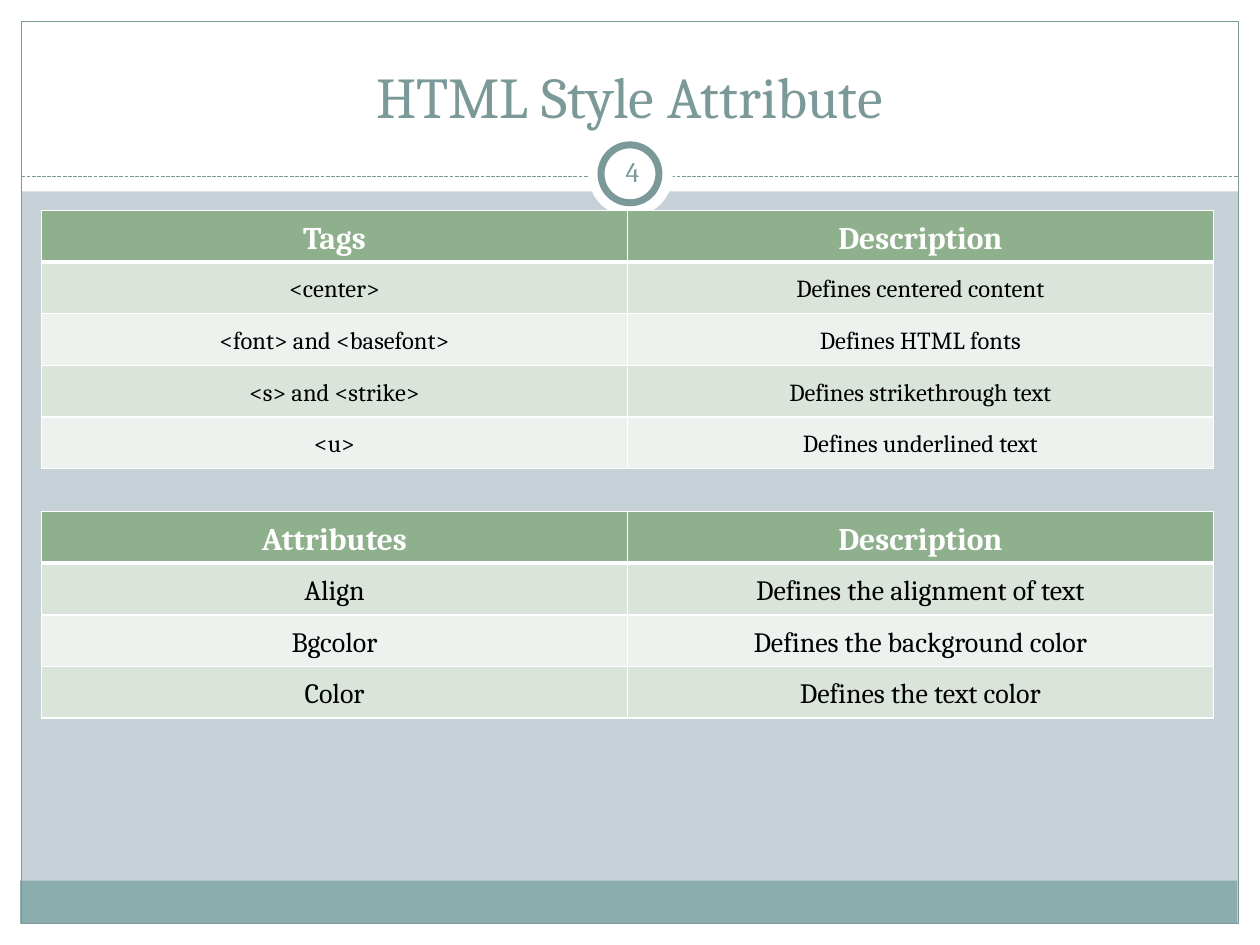
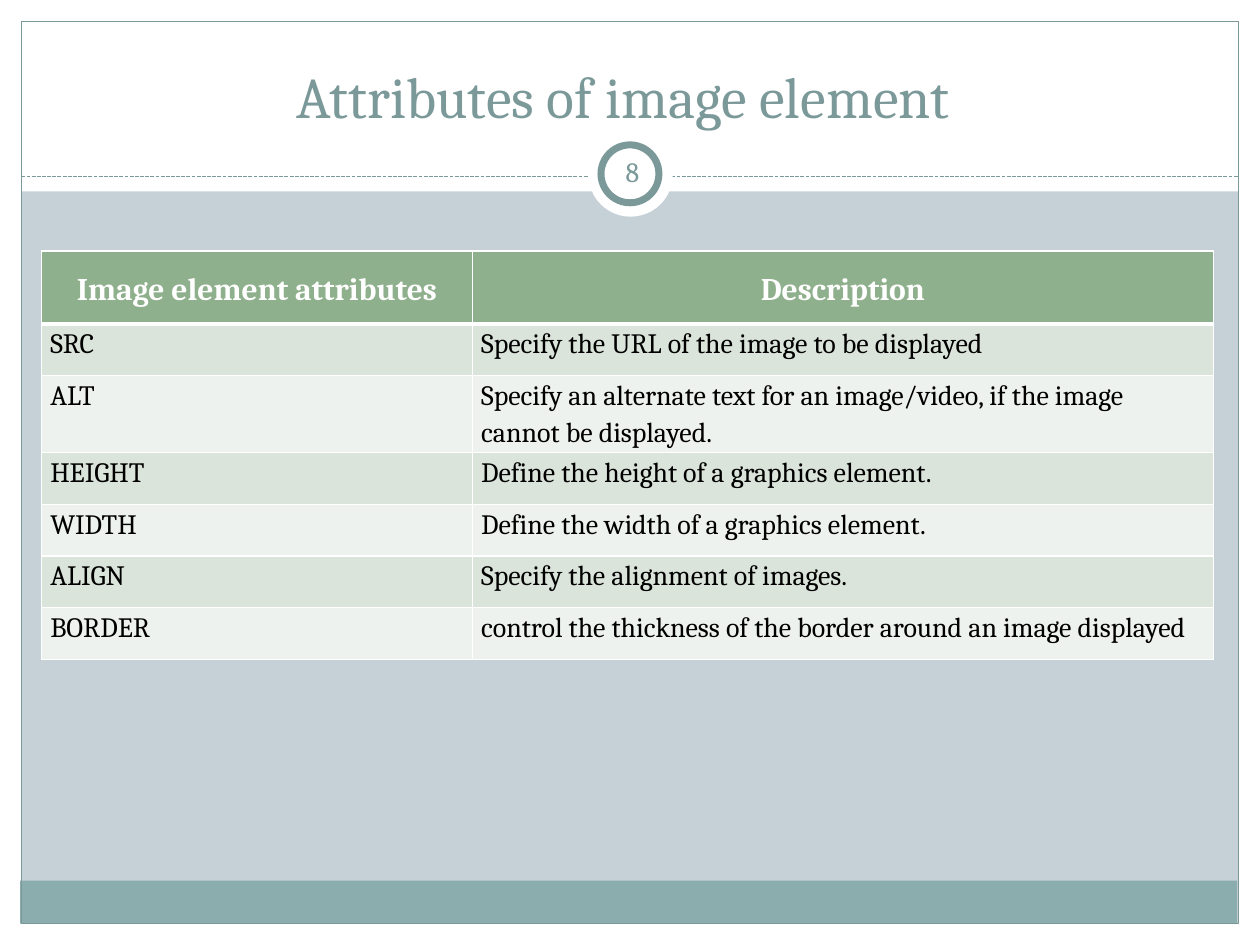
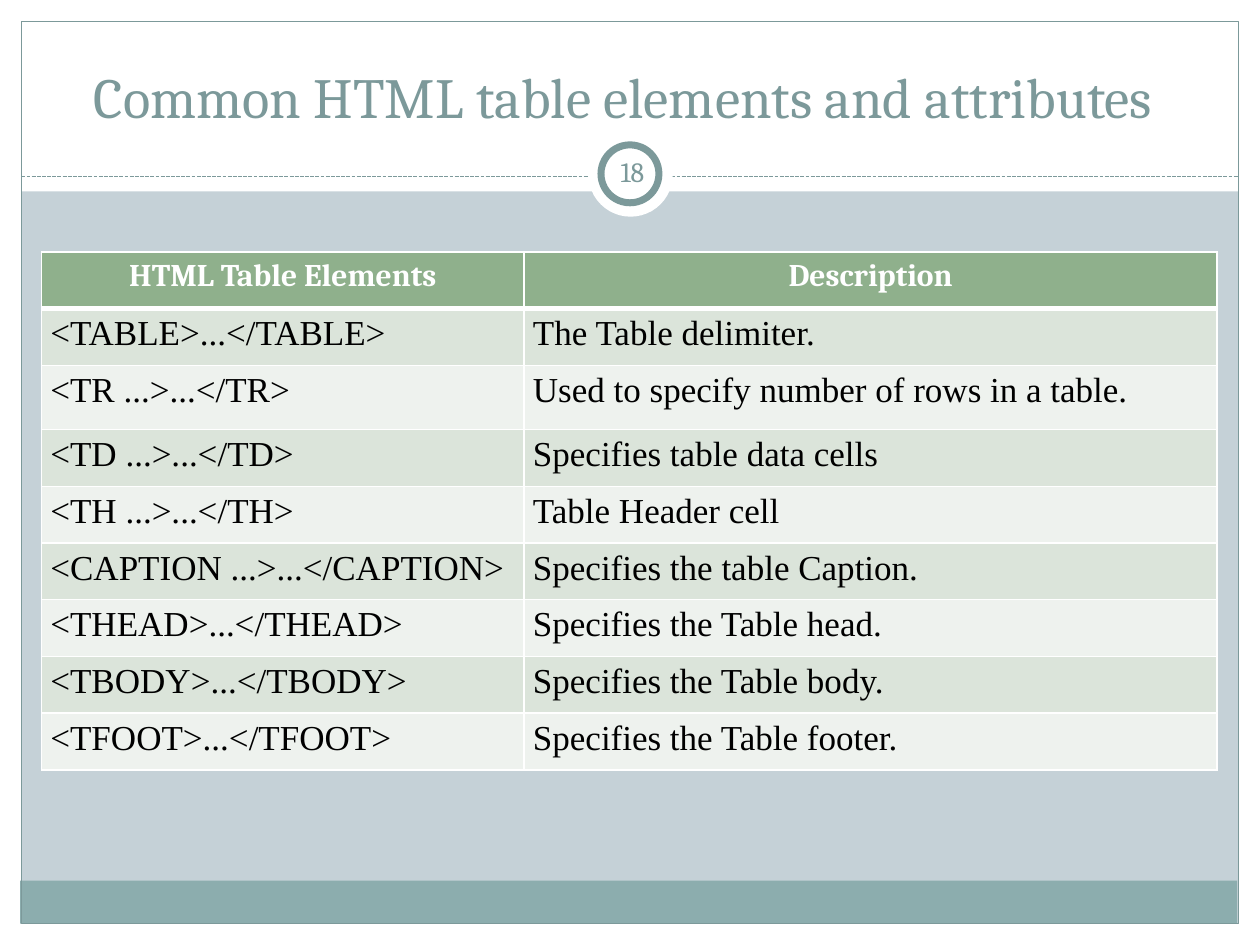
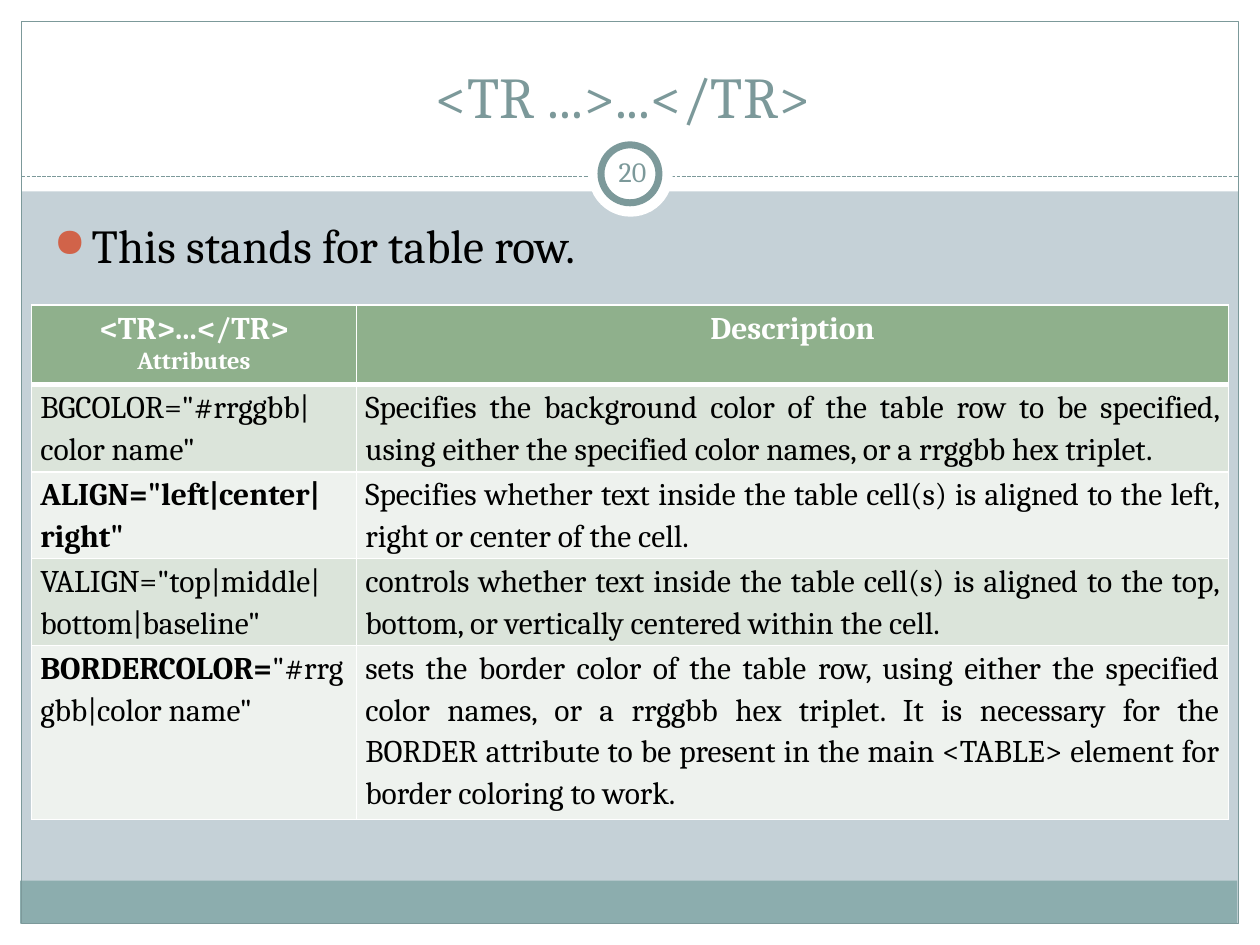
from pptx import Presentation
from pptx.dml.color import RGBColor
from pptx.enum.dml import MSO_LINE_DASH_STYLE as Dash
from pptx.enum.shapes import MSO_CONNECTOR as Connector, MSO_SHAPE as Shape
from pptx.enum.text import MSO_ANCHOR as Anchor, PP_ALIGN as Align
from pptx.oxml.ns import qn
from pptx.util import Inches, Pt
from lxml.etree import SubElement

WHITE, BLACK = "FFFFFF", "000000"
SLATE, TEAL, MIST = "7C999A", "8CADAE", "C5D1D7"
GREEN, STRIPES, ORANGE = "8FB08C", ("DBE4DA", "EEF2EE"), "D16349"
SERIF, TIMES = "Cambria", "Times New Roman"

BANDS = [
    (Shape.RECTANGLE, (0, 7.33, 10, 0.17), WHITE, None),
    (Shape.RECTANGLE, (0, 0, 10, 1.52), WHITE, None),
    (Shape.RECTANGLE, (0, 0, 0.17, 7.5), WHITE, None),
    (Shape.RECTANGLE, (9.83, 0, 0.17, 7.5), WHITE, None),
    (Shape.RECTANGLE, (0.16, 6.99, 9.66, 0.34), TEAL, None),
    (Shape.RECTANGLE, (0.17, 0.17, 9.66, 7.16), None, 0.75),
]
BADGE = [
    (Shape.OVAL, (4.67, 1.05, 0.67, 0.67), WHITE, None),
    (Shape.OVAL, (4.77, 1.15, 0.46, 0.46), WHITE, 4),
]

TIGHT, SNUG, ROOMY = (0.01, 0.01), (0.07, 0), (0.1, 0.05)
HEAD = dict(size=18, bold=True, color=WHITE, align=Align.CENTER,
            margins=ROOMY, anchor=Anchor.TOP)
MIDDLE_HEAD = HEAD | dict(margins=TIGHT, anchor=Anchor.MIDDLE, spacing=1.15)
BODY = dict(size=16, color=BLACK, align=Align.LEFT, spacing=1.15,
            margins=SNUG, anchor=Anchor.TOP)
CENTERED = BODY | dict(align=Align.CENTER, margins=TIGHT, anchor=Anchor.MIDDLE)

SLIDES = [
    dict(title="HTML Style Attribute", number="4", tables=[
        dict(at=(0.33, 1.67), columns=(4.65, 4.65), heights=[0.41] * 5,
             head=MIDDLE_HEAD, body=CENTERED | dict(size=14), rows=[
                 ("Tags", "Description"),
                 ("<center>", "Defines centered content"),
                 ("<font> and <basefont>", "Defines HTML fonts"),
                 ("<s> and <strike>", "Defines strikethrough text"),
                 ("<u>", "Defines underlined text")]),
        dict(at=(0.33, 4.06), columns=(4.65, 4.65), heights=[0.41] * 4,
             head=MIDDLE_HEAD, body=CENTERED, rows=[
                 ("Attributes", "Description"),
                 ("Align", "Defines the alignment of text"),
                 ("Bgcolor", "Defines the background color"),
                 ("Color", "Defines the text color")])]),
    dict(title="Attributes of image element ", number="8", tables=[
        dict(at=(0.33, 1.99), columns=(3.42, 5.88), heights=[0.58] + [0.41] * 6,
             head=MIDDLE_HEAD, body=BODY, rows=[
                 ("Image element attributes", "Description"),
                 ("SRC ", "Specify the URL of the image to be displayed"),
                 ("ALT ", "Specify an alternate text for an image/video, if the "
                          "image cannot be displayed. "),
                 ("HEIGHT", "Define the height of a graphics element."),
                 ("WIDTH ", "Define the width of a graphics element."),
                 ("ALIGN", "Specify the alignment of images."),
                 ("BORDER", "control the thickness of the border around an image "
                            "displayed")])]),
    dict(title="Common HTML table elements and attributes ", size=32.4,
         number="18", tables=[
        dict(at=(0.33, 2), columns=(3.83, 5.5),
             heights=[0.45] * 2 + [0.51] + [0.45] * 6, head=HEAD,
             body=BODY | dict(size=20, font=TIMES, align=Align.JUSTIFY), rows=[
                 ("HTML Table Elements", "Description"),
                 ("<TABLE>...</TABLE> ", "The Table delimiter."),
                 ("<TR ...>...</TR> ", "Used to specify number of rows in a table. "),
                 ("<TD ...>...</TD> ", "Specifies table data cells"),
                 ("<TH ...>...</TH> ", "Table Header cell"),
                 ("<CAPTION ...>...</CAPTION> ", "Specifies the table Caption."),
                 ("<THEAD>...</THEAD> ", "Specifies the Table head."),
                 ("<TBODY>...</TBODY> ", "Specifies the Table body."),
                 ("<TFOOT>...</TFOOT> ", "Specifies the Table footer.")])]),
    dict(title="<TR ...>...</TR> ", number="20",
         bullet="This stands for table row. ", tables=[
        dict(at=(0.25, 2.42), columns=(2.58, 6.92), heights=[0.45] * 5,
             head=HEAD, body=BODY | dict(size=18, align=Align.JUSTIFY), rows=[
                 ([[("<TR>...</TR>", {})], [("Attributes", dict(size=14))]],
                  "Description"),
                 ('BGCOLOR="#rrggbb|color name"',
                  "Specifies the background color of the table row to be "
                  "specified, using either the specified color names, or a "
                  "rrggbb hex triplet."),
                 ([[('ALIGN="left|center|right"', dict(bold=True))]],
                  "Specifies whether text inside the table cell(s) is aligned to "
                  "the left, right or center of the cell."),
                 ('VALIGN="top|middle|bottom|baseline"',
                  "controls whether text inside the table cell(s) is aligned to "
                  "the top, bottom, or vertically centered within the cell."),
                 ([[("BORDERCOLOR=", dict(bold=True)),
                    ('"#rrggbb|color name"', {})]],
                  "sets the border color of the table row, using either the "
                  "specified color names, or a rrggbb hex triplet. It is "
                  "necessary for the BORDER attribute to be present in the main "
                  "<TABLE> element for border coloring to work.")])]),
]


def rgb(color):
    return RGBColor.from_string(color)


def set_all(target, values):
    for name, value in values.items():
        setattr(target, name, value)


def write(frame, content, style):
    if isinstance(content, str):
        content = [[(content, {})]]
    for index, spans in enumerate(content):
        para = frame.add_paragraph() if index else frame.paragraphs[0]
        set_all(para, dict(alignment=style["align"],
                           line_spacing=style.get("spacing")))
        for text, changes in spans:
            look = style | changes
            span = para.add_run()
            span.text = text
            set_all(span.font, dict(name=look.get("font", SERIF),
                                    size=Pt(look["size"]),
                                    bold=look.get("bold", False)))
            span.font.color.rgb = rgb(look["color"])


def margins(across, down):
    return dict(margin_left=Inches(across), margin_right=Inches(across),
                margin_top=Inches(down), margin_bottom=Inches(down))


def add_text(page, at, content, style):
    box = page.shapes.add_textbox(*map(Inches, at))
    set_all(box.text_frame, dict(word_wrap=True, vertical_anchor=style["anchor"],
                                 **margins(*style["margins"])))
    write(box.text_frame, content, style)
    return box.text_frame.paragraphs[0]


def add_shapes(page, parts):
    for kind, at, fill, weight in parts:
        shape = page.shapes.add_shape(kind, *map(Inches, at))
        shape.shadow.inherit = False
        if fill:
            shape.fill.solid()
            shape.fill.fore_color.rgb = rgb(fill)
        else:
            shape.fill.background()
        if weight:
            shape.line.color.rgb = rgb(SLATE)
            shape.line.width = Pt(weight)
        else:
            shape.line.fill.background()


def add_dashes(page):
    rule = page.shapes.add_connector(
        Connector.STRAIGHT, *map(Inches, (0.17, 1.4, 9.83, 1.4)))
    rule.line.color.rgb = rgb(SLATE)
    set_all(rule.line, dict(width=Pt(0.75), dash_style=Dash.SQUARE_DOT))
    SubElement(rule._element.spPr, qn("a:effectLst"))


def add_bullet(page, text):
    para = add_text(page, (0.33, 1.67, 9.3, 5), text,
                    dict(size=27, color=BLACK, align=Align.LEFT,
                         margins=ROOMY, anchor=Anchor.TOP))
    para.space_before = Pt(5.4)
    props = para._p.get_or_add_pPr()
    props.set("marL", str(Inches(0.3)))
    props.set("indent", str(-Inches(0.3)))
    SubElement(SubElement(props, qn("a:buClr")), qn("a:srgbClr"), val=ORANGE)
    SubElement(props, qn("a:buSzPct"), val="85000")
    SubElement(props, qn("a:buChar"), char="●")


def add_borders(cell, row):
    weights = dict(lnL=1, lnR=1, lnT=3 if row == 1 else 1, lnB=1 if row else 3)
    for side, weight in weights.items():
        line = SubElement(cell._tc.get_or_add_tcPr(), qn("a:" + side),
                          w=str(Pt(weight)))
        SubElement(SubElement(line, qn("a:solidFill")), qn("a:srgbClr"), val=WHITE)


def add_grid(page, at, columns, heights, head, body, rows):
    size = (sum(columns), sum(heights))
    grid = page.shapes.add_table(len(rows), len(columns),
                                 *map(Inches, at + size)).table
    for column, width in zip(grid.columns, columns):
        column.width = Inches(width)
    for index, (height, texts) in enumerate(zip(heights, rows)):
        grid.rows[index].height = Inches(height)
        style = body if index else head
        for cell, text in zip(grid.rows[index].cells, texts):
            set_all(cell, dict(vertical_anchor=style["anchor"],
                               **margins(*style["margins"])))
            add_borders(cell, index)
            cell.fill.solid()
            cell.fill.fore_color.rgb = rgb(STRIPES[(index - 1) % 2] if index else GREEN)
            write(cell.text_frame, text, style)


def add_page(deck, title, number, tables, size=33, bullet=None):
    page = deck.slides.add_slide(deck.slide_layouts[6])
    page.background.fill.solid()
    page.background.fill.fore_color.rgb = rgb(MIST)
    add_shapes(page, BANDS)
    add_dashes(page)
    add_shapes(page, BADGE)
    accent = dict(color=SLATE, align=Align.CENTER)
    add_text(page, (0.33, 0.25, 9.33, 0.83), title,
             accent | dict(size=size, margins=ROOMY, anchor=Anchor.BOTTOM))
    add_text(page, (4.77, 1.12, 0.5, 0.48), number,
             accent | dict(size=16, margins=(0.05, 0.05), anchor=Anchor.MIDDLE))
    if bullet:
        add_bullet(page, bullet)
    for table in tables:
        add_grid(page, **table)


deck = Presentation()
set_all(deck, dict(slide_width=Inches(10), slide_height=Inches(7.5)))
for content in SLIDES:
    add_page(deck, **content)
deck.save("out.pptx")
